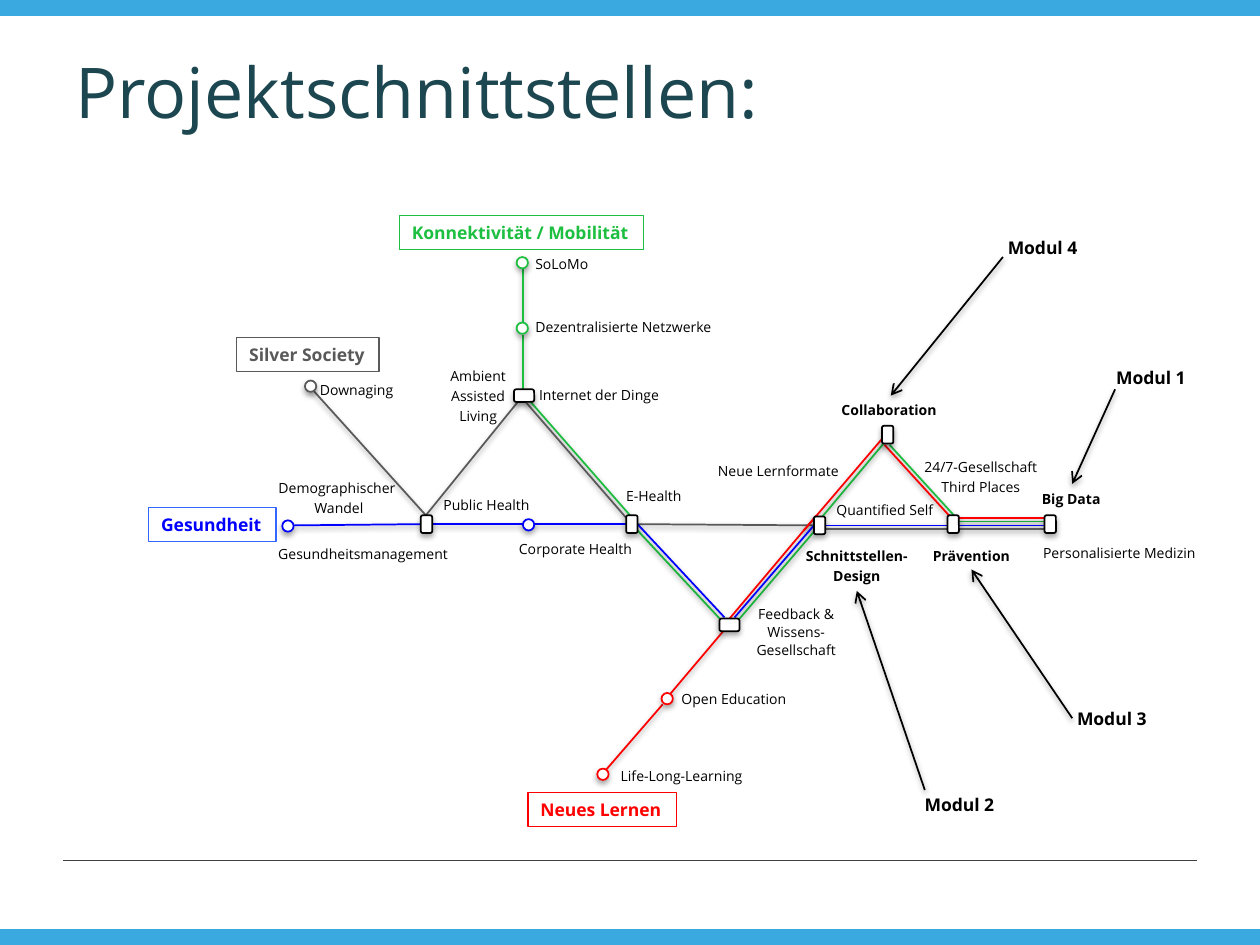
from lxml import etree
from pptx import Presentation
from pptx import util as u
from pptx.dml.color import RGBColor
from pptx.enum import shapes, text
from pptx.oxml import parse_xml
from pptx.oxml.ns import nsdecls, qn

FONT = "Open Sans"
BLACK, WHITE, BAR, TITLE = "000000", "FFFFFF", "3AA9E0", "1D4750"
GREY, GREEN, RED, BLUE = "595959", "1DBF40", "FF0000", "0000FF"
LEFT, CENTER = text.PP_ALIGN.LEFT, text.PP_ALIGN.CENTER


def add_shadow(shape, alpha, distance):
    """Replace the inherited effects with a soft shadow that falls straight down."""
    properties = shape._element.spPr
    for effects in properties.findall(qn("a:effectLst")):
        properties.remove(effects)
    properties.append(parse_xml(
        f'<a:effectLst {nsdecls("a")}><a:outerShdw blurRad="40000" dist="{distance}" '
        f'dir="5400000" rotWithShape="0"><a:srgbClr val="{BLACK}">'
        f'<a:alpha val="{alpha}000"/></a:srgbClr></a:outerShdw></a:effectLst>'))


def write(shape, words, size, color, bold=False, align=LEFT, spacing=1.0):
    frame = shape.text_frame
    frame.text = words
    frame.word_wrap = False
    frame.auto_size = text.MSO_AUTO_SIZE.SHAPE_TO_FIT_TEXT
    frame.vertical_anchor = text.MSO_ANCHOR.TOP
    for para in frame.paragraphs:
        para.alignment = align
        para.line_spacing = spacing
        for span in para.runs:
            span.font.name = FONT
            span.font.size = u.Pt(size)
            span.font.bold = bold
            span.font.color.rgb = RGBColor.from_string(color)


deck = Presentation()
deck.slide_width, deck.slide_height = u.Inches(10), u.Inches(7.5)
page = deck.slides.add_slide(deck.slide_layouts[6])

# Frame of the page: bars, footer rule and title
for top in (0, 7.38):
    bar = page.shapes.add_shape(shapes.MSO_SHAPE.RECTANGLE, 0, u.Inches(top),
                                deck.slide_width, u.Inches(0.12))
    bar.shadow.inherit = False
    bar.fill.solid()
    bar.fill.fore_color.rgb = RGBColor.from_string(BAR)
    bar.line.color.rgb = RGBColor.from_string(BAR)
    bar.line.width = u.Pt(0.75)

rule = page.shapes.add_connector(shapes.MSO_CONNECTOR.STRAIGHT, u.Inches(0.5),
                                 u.Inches(6.83), u.Inches(9.5), u.Inches(6.83))
rule.line.color.rgb = RGBColor.from_string("404040")
rule.line.width = u.Pt(0.25)
etree.SubElement(rule._element.spPr, qn("a:effectLst"))

title = page.shapes.add_textbox(u.Inches(0.5), u.Inches(0.3), u.Inches(9), u.Inches(0.83))
write(title, "Projektschnittstellen:", 40, TITLE)
title.text_frame.word_wrap = True
title.text_frame.auto_size = text.MSO_AUTO_SIZE.NONE
title.text_frame.vertical_anchor = text.MSO_ANCHOR.MIDDLE

# Track segments (x1, y1, x2, y2) from back to front; black ones are module arrows
tracks = [
    (GREY, [(5.06, 4.16, 6.46, 4.17), (2.46, 3.07, 3.38, 4.09)]),
    (GREEN, [(7.06, 3.53, 7.58, 4.1), (6.46, 4.18, 7.08, 3.44)]),
    (RED, [(6.38, 4.21, 7.08, 3.39), (5.79, 4.91, 6.48, 4.09),
           (5.3, 5.53, 5.74, 5.01), (4.81, 6.11, 5.26, 5.59)]),
    (GREEN, [(7.6, 4.14, 8.29, 4.14), (5.87, 4.91, 6.46, 4.22), (5.06, 4.21, 5.74, 4.94),
             (4.15, 2.13, 4.15, 2.56), (4.15, 2.66, 4.15, 3.09), (4.15, 3.12, 5, 4.09)]),
    (BLUE, [(6.55, 4.17, 7.52, 4.17), (2.33, 4.17, 3.34, 4.16), (3.42, 4.16, 4.15, 4.16),
            (4.24, 4.16, 4.97, 4.16), (5.06, 4.16, 5.75, 4.9), (5.83, 4.9, 6.46, 4.17),
            (7.6, 4.17, 8.29, 4.17)]),
    (GREY, [(3.38, 4.09, 4.15, 3.14), (4.12, 3.13, 4.97, 4.11),
            (6.55, 4.2, 7.52, 4.2), (7.6, 4.2, 8.29, 4.2)]),
    (RED, [(7.02, 3.53, 7.54, 4.1), (7.6, 4.11, 8.29, 4.11)]),
    (BLACK, [(7.34, 6.27, 6.8, 4.69), (7.96, 2.04, 7.07, 3.14),
             (8.85, 3.09, 8.51, 3.84), (8.51, 5.7, 7.71, 4.52)]),
]
for color, segments in tracks:
    for segment in segments:
        track = page.shapes.add_connector(shapes.MSO_CONNECTOR.STRAIGHT,
                                          *[u.Inches(value) for value in segment])
        track.line.color.rgb = RGBColor.from_string(color)
        track.line.width = u.Pt(1)
        if color == BLACK:
            etree.SubElement(track.line._get_or_add_ln(), qn("a:tailEnd"), type="arrow")
        add_shadow(track, 38, 20000)

# Stops are circles, interchanges are rounded boxes
OVAL, ROUNDED = shapes.MSO_SHAPE.OVAL, shapes.MSO_SHAPE.ROUNDED_RECTANGLE
stations = [
    (OVAL, 0.09, 0.09, BLUE, [(2.24, 4.13), (4.15, 4.12)]),
    (OVAL, 0.09, 0.09, GREEN, [(4.1, 2.04), (4.1, 2.56)]),
    (OVAL, 0.09, 0.09, RED, [(5.25, 5.5), (4.74, 6.1)]),
    (OVAL, 0.09, 0.09, GREY, [(2.42, 3.02)]),
    (ROUNDED, 0.16, 0.1, BLACK, [(5.71, 4.91), (4.08, 3.09)]),
    (ROUNDED, 0.09, 0.14, BLACK, [(3.34, 4.09), (4.97, 4.09), (6.46, 4.1),
                                  (7, 3.38), (7.52, 4.09), (8.29, 4.09)]),
]
for kind, width, height, color, places in stations:
    for left, top in places:
        station = page.shapes.add_shape(kind, u.Inches(left), u.Inches(top),
                                        u.Inches(width), u.Inches(height))
        station.fill.solid()
        station.fill.fore_color.rgb = RGBColor.from_string(WHITE)
        station.line.color.rgb = RGBColor.from_string(color)
        station.line.width = u.Pt(1)
        add_shadow(station, 35, 23000)

# Framed names of the lines
line_names = [
    ("Gesundheit", 1.18, 4.03, 1.01, BLUE, "3366FF"),
    ("Konnektivität / Mobilität", 3.17, 1.71, 1.94, GREEN, GREEN),
    ("Neues Lernen", 4.19, 6.29, 1.18, RED, RED),
    ("Silver Society", 1.88, 2.68, 1.13, GREY, GREY),
]
for words, left, top, width, color, border in line_names:
    box = page.shapes.add_shape(shapes.MSO_SHAPE.RECTANGLE, u.Inches(left), u.Inches(top),
                                u.Inches(width), u.Inches(0.27))
    box.shadow.inherit = False
    box.fill.background()
    box.line.color.rgb = RGBColor.from_string(border)
    box.line.width = u.Pt(0.75)
    write(box, words, 10, color, bold=True)

# Text groups: size, bold, alignment, line spacing, then words with left, top, width, height
labels = [
    (8, False, LEFT, 1.0, [
        ("Gesundheitsmanagement", 2.11, 4.28, 1.56, 0.24),
        ("Public Health", 3.42, 3.89, 0.89, 0.24),
        ("Corporate Health", 4.02, 4.24, 1.11, 0.24),
        ("E-Health", 4.87, 3.82, 0.65, 0.24),
        ("SoLoMo", 4.15, 1.98, 0.63, 0.24),
        ("Dezentralisierte Netzwerke", 4.15, 2.48, 1.62, 0.24),
        ("Internet der Dinge", 4.18, 3.02, 1.16, 0.24),
        ("Personalisierte Medizin", 8.18, 4.27, 1.42, 0.24),
        ("Neue Lernformate", 5.6, 3.62, 1.17, 0.24),
        ("Open Education", 5.31, 5.43, 1.04, 0.24),
        ("Quantified Self", 6.54, 3.93, 0.98, 0.24),
        ("Downaging", 2.44, 2.98, 0.81, 0.24)]),
    (8, True, LEFT, 1.0, [
        ("Big Data", 8.17, 3.84, 0.68, 0.24),
        ("Collaboration", 6.58, 3.14, 0.96, 0.24)]),
    (8, True, CENTER, 1.2, [
        ("Prävention", 7.3, 4.27, 0.82, 0.26),
        ("Schnittstellen-\nDesign", 6.29, 4.27, 1.02, 0.42)]),
    (8, False, CENTER, 1.2, [
        ("24/7-Gesellschaft\nThird Places", 7.23, 3.56, 1.11, 0.42),
        ("Life-Long-Learning", 4.82, 6.02, 1.18, 0.26),
        ("Demographischer \nWandel", 2.11, 3.73, 1.16, 0.42),
        ("Ambient\nAssisted\nLiving", 3.47, 2.84, 0.65, 0.58)]),
    (8, False, CENTER, 1.1, [
        ("Feedback &\nWissens-\nGesellschaft", 5.9, 4.74, 0.84, 0.54)]),
    (10, True, LEFT, 1.0, [
        ("Modul 1", 8.76, 2.86, 0.76, 0.27),
        ("Modul 2", 7.24, 6.25, 0.76, 0.27),
        ("Modul 3", 8.45, 5.57, 0.76, 0.27),
        ("Modul 4", 7.9, 1.83, 0.76, 0.27)]),
]
for size, bold, align, spacing, group in labels:
    for words, *place in group:
        label = page.shapes.add_textbox(*[u.Inches(value) for value in place])
        write(label, words, size, BLACK, bold, align, spacing)

deck.save("out.pptx")
